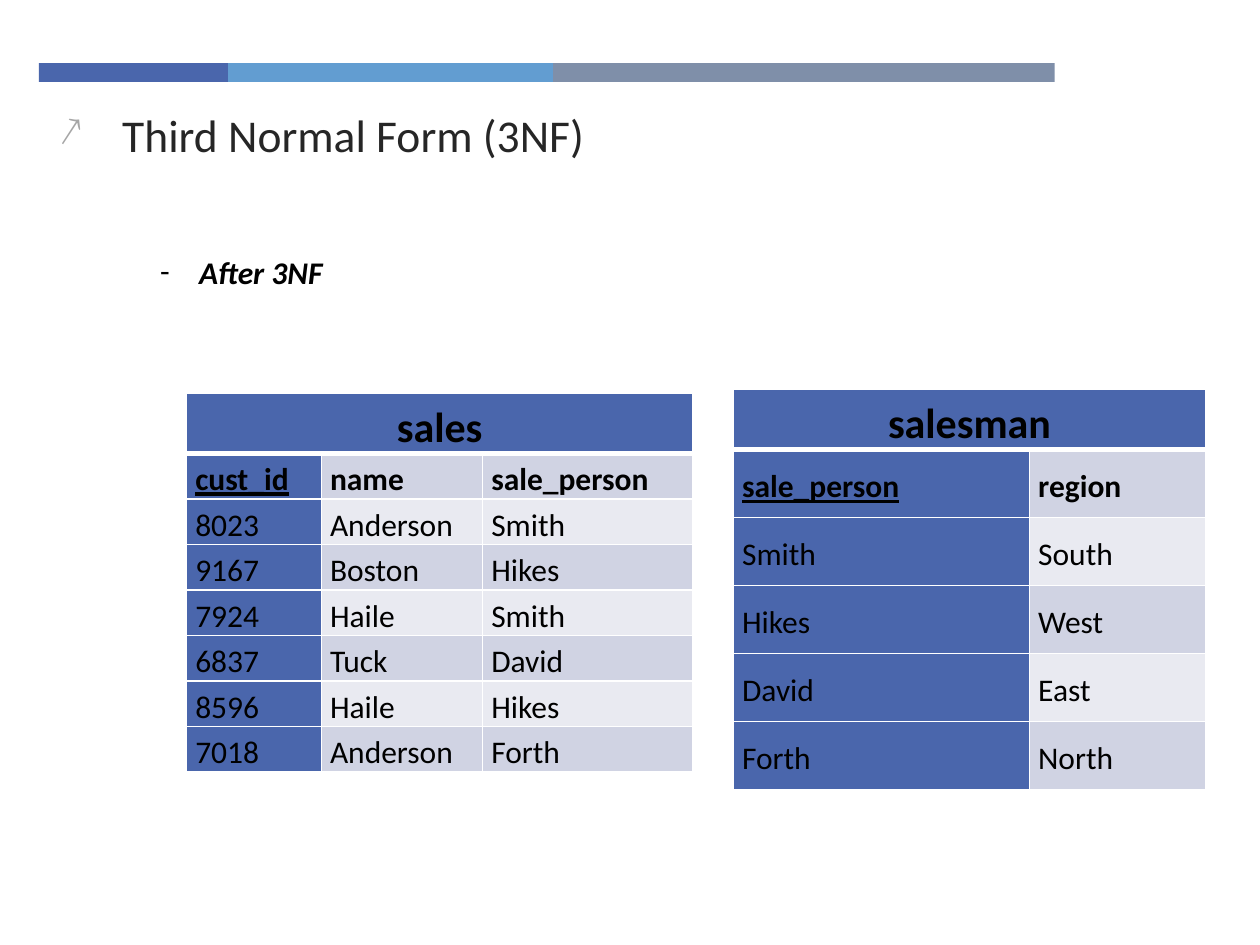
from lxml import etree
from pptx import Presentation
from pptx.dml.color import RGBColor
from pptx.enum.shapes import MSO_SHAPE
from pptx.enum.text import MSO_ANCHOR, MSO_AUTO_SIZE, PP_ALIGN
from pptx.oxml.ns import qn
from pptx.util import Inches, Pt

RECTANGLE = MSO_SHAPE.RECTANGLE
TOP, MIDDLE = MSO_ANCHOR.TOP, MSO_ANCHOR.MIDDLE
LEFT, CENTER = PP_ALIGN.LEFT, PP_ALIGN.CENTER
NO_AUTOFIT = MSO_AUTO_SIZE.NONE

FONT = "Calibri"
BLUE = RGBColor(0x4A, 0x66, 0xAC)
SKY = RGBColor(0x62, 0x9D, 0xD1)
SLATE = RGBColor(0x7F, 0x8F, 0xA9)
INK = RGBColor(0x26, 0x26, 0x26)
BLACK = RGBColor(0, 0, 0)
GRAY = RGBColor(0xA6, 0xA6, 0xA6)
WHITE = RGBColor(0xFF, 0xFF, 0xFF)
DARK_BAND = RGBColor(0xD0, 0xD3, 0xE3)
LIGHT_BAND = RGBColor(0xE9, 0xEA, 0xF1)

SALES = [
    ("cust_id", "name", "sale_person"),
    ("8023", "Anderson", "Smith"),
    ("9167", "Boston", "Hikes"),
    ("7924", "Haile", "Smith"),
    ("6837", "Tuck", "David"),
    ("8596", "Haile", "Hikes"),
    ("7018", "Anderson", "Forth"),
]
SALESMAN = [
    ("sale_person", "region"),
    ("Smith", "South"),
    ("Hikes", "West"),
    ("David", "East"),
    ("Forth", "North"),
]


def write_text(frame, text, size=18, color=BLACK, bold=False, italic=False,
               underline=False, align=LEFT, line_spacing=1.0, before=0, after=0):
    paragraph = frame.paragraphs[0]
    paragraph.alignment = align
    paragraph.line_spacing = line_spacing
    paragraph.space_before = Pt(before)
    paragraph.space_after = Pt(after)
    run = paragraph.add_run()
    run.text = text
    font = run.font
    font.name, font.size, font.color.rgb = FONT, Pt(size), color
    font.bold, font.italic, font.underline = bold, italic, underline
    return paragraph


def add_bullet(paragraph, character, indent, color=None, percent=100, typeface=None):
    properties = paragraph._p.get_or_add_pPr()
    properties.set("marL", str(Inches(indent)))
    properties.set("indent", str(-Inches(indent)))
    if color is not None:
        holder = etree.SubElement(properties, qn("a:buClr"))
        etree.SubElement(holder, qn("a:srgbClr"), val=str(color))
    etree.SubElement(properties, qn("a:buSzPct"), val=str(percent * 1000))
    if typeface:
        etree.SubElement(properties, qn("a:buFont"), typeface=typeface)
    etree.SubElement(properties, qn("a:buChar"), char=character)


def place_placeholder(placeholder, box):
    left, top, width, height = map(Inches, box)
    placeholder.left, placeholder.top = left, top
    placeholder.width, placeholder.height = width, height
    frame = placeholder.text_frame
    frame.word_wrap = True
    frame.auto_size = NO_AUTOFIT
    frame.vertical_anchor = TOP
    return frame


def add_color_bar(slide, box, segments):
    left, top, width, height = box
    group = slide.shapes.add_group_shape()
    total = sum(share for share, _ in segments)
    for share, color in segments:
        length = width * share / total
        segment = group.shapes.add_shape(
            RECTANGLE, Inches(left), Inches(top), Inches(length), Inches(height))
        segment.shadow.inherit = False
        segment.fill.solid()
        segment.fill.fore_color.rgb = color
        segment.line.fill.background()
        left += length


def add_title(slide, box, text):
    frame = place_placeholder(slide.shapes.title, box)
    paragraph = write_text(frame, text, size=26, color=INK, before=20)
    add_bullet(paragraph, "\u2197", 0.5, color=GRAY, percent=90)


def add_list(slide, box, text):
    frame = place_placeholder(slide.placeholders[1], box)
    paragraph = write_text(frame, text, bold=True, italic=True)
    add_bullet(paragraph, "-", 0.31, typeface=FONT)


def set_borders(cell, widths):
    properties = cell._tc.get_or_add_tcPr()
    for position, (side, width) in enumerate(widths.items()):
        line = etree.Element(qn("a:ln" + side), w=str(Pt(width)))
        fill = etree.SubElement(line, qn("a:solidFill"))
        etree.SubElement(fill, qn("a:srgbClr"), val=str(WHITE))
        properties.insert(position, line)


def format_cell(cell, row, column):
    cell.vertical_anchor = MIDDLE
    cell.margin_left = cell.margin_right = Inches(0.07)
    cell.margin_top, cell.margin_bottom = Inches(0.01), 0
    cell.fill.solid()
    band = DARK_BAND if row % 2 else LIGHT_BAND
    cell.fill.fore_color.rgb = BLUE if row == 0 or column == 0 else band
    set_borders(cell, {"L": 1, "R": 1, "T": 3 if row == 1 else 1, "B": 3 if row == 0 else 1})


def add_relation(slide, left, top, name, records, column_widths, name_height, row_height):
    row_heights = [name_height] + [row_height] * len(records)
    table = slide.shapes.add_table(
        len(row_heights), len(column_widths), Inches(left), Inches(top),
        Inches(sum(column_widths)), Inches(sum(row_heights))).table
    for column, width in zip(table.columns, column_widths):
        column.width = Inches(width)
    for row, height in zip(table.rows, row_heights):
        row.height = Inches(height)
    for row in range(len(row_heights)):
        for column in range(len(column_widths)):
            format_cell(table.cell(row, column), row, column)
    table.cell(0, 0).merge(table.cell(0, len(column_widths) - 1))
    write_text(table.cell(0, 0).text_frame, name, size=24, bold=True,
               align=CENTER, line_spacing=1.15, after=10)
    for row, record in enumerate(records, start=1):
        for column, value in enumerate(record):
            write_text(table.cell(row, column).text_frame, value, bold=row == 1,
                       underline=row == 1 and column == 0, line_spacing=1.15, after=10)


def build_slide(presentation):
    slide = presentation.slides.add_slide(presentation.slide_layouts[1])
    add_color_bar(slide, (0.31, 0.5, 8.06, 0.15),
                  [(1.5, BLUE), (2.58, SKY), (3.98, SLATE)])
    add_title(slide, (0.37, 0.8, 7.16, 0.54), "Third Normal Form (3NF)")
    add_list(slide, (1.17, 1.96, 8.66, 0.71), "After 3NF")
    add_relation(slide, 1.48, 3.12, "sales", SALES, (1.07, 1.28, 1.67), 0.48, 0.34)
    add_relation(slide, 5.82, 3.09, "salesman", SALESMAN, (2.35, 1.4), 0.46, 0.54)


presentation = Presentation()
presentation.slide_width = Inches(10)
presentation.slide_height = Inches(7.5)
build_slide(presentation)
presentation.save("out.pptx")
